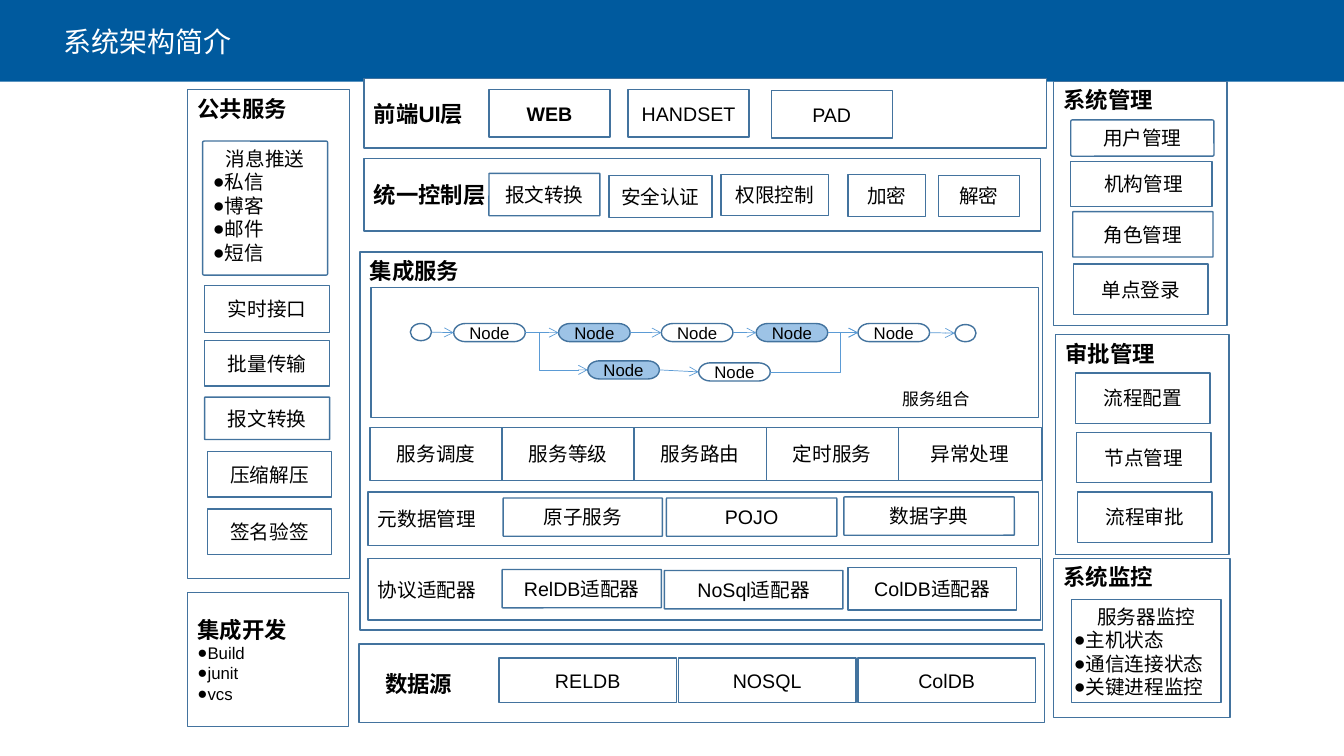
import lxml.etree
import pptx
import pptx.dml.color
import pptx.enum.shapes
import pptx.enum.text
import pptx.oxml.ns
import pptx.util

PX = 9144  # 100 px to the inch
HEADER_BLUE = pptx.dml.color.RGBColor(0x00, 0x5A, 0x9E)
BORDER_BLUE = pptx.dml.color.RGBColor(0x43, 0x73, 0x9E)
ARROW_BLUE = pptx.dml.color.RGBColor(0x5B, 0x9B, 0xD5)
NODE_BLUE = pptx.dml.color.RGBColor(0x9D, 0xC3, 0xE6)
WHITE = pptx.dml.color.RGBColor(0xFF, 0xFF, 0xFF)
BLACK = pptx.dml.color.RGBColor(0x00, 0x00, 0x00)
CJK_FONT = "Noto Sans CJK SC"
SHAPE = pptx.enum.shapes.MSO_SHAPE
CONNECTOR = pptx.enum.shapes.MSO_CONNECTOR
LEFT, CENTER = pptx.enum.text.PP_ALIGN.LEFT, pptx.enum.text.PP_ALIGN.CENTER
TOP, MIDDLE = pptx.enum.text.MSO_ANCHOR.TOP, pptx.enum.text.MSO_ANCHOR.MIDDLE
qn = pptx.oxml.ns.qn


def write(shape, text, size=14, font="Arial", color=BLACK, bold=False, align=CENTER,
          anchor=MIDDLE, inset=(10, 10), wrap=True, items=(), item_size=14):
    """Fill a shape with a heading and bulleted items; inset is (left, right) in px."""
    frame = shape.text_frame
    frame.word_wrap = wrap
    frame.vertical_anchor = anchor
    frame.margin_left, frame.margin_right = (side * PX for side in inset)
    frame.margin_top = frame.margin_bottom = 5 * PX
    for index, words in enumerate([text, *items]):
        paragraph = frame.add_paragraph() if index else frame.paragraphs[0]
        paragraph.alignment = LEFT if index else align
        if index:
            properties = paragraph._p.get_or_add_pPr()
            properties.set("marL", "0")
            properties.set("indent", "0")
            lxml.etree.SubElement(properties, qn("a:buFont"), typeface="Arial")
            lxml.etree.SubElement(properties, qn("a:buChar"), char="●")
        run = paragraph.add_run()
        run.text = words
        run.font.size = pptx.util.Pt(item_size if index else size)
        run.font.bold = bold and not index
        run.font.color.rgb = color
        run.font.name = font
        lxml.etree.SubElement(run.font._element, qn("a:ea"), typeface=CJK_FONT)


def box(left, top, width, height, text="", corner=None, kind=SHAPE.RECTANGLE, fill=None, **style):
    """Draw an outlined box; corner rounds it by that share of its short side."""
    if corner is not None:
        kind = SHAPE.ROUNDED_RECTANGLE
    shape = slide.shapes.add_shape(kind, left * PX, top * PX, width * PX, height * PX)
    shape.shadow.inherit = False
    if corner is not None:
        shape.adjustments[0] = corner
    if fill is None:
        shape.fill.background()
    else:
        shape.fill.solid()
        shape.fill.fore_color.rgb = fill
    shape.line.color.rgb = BORDER_BLUE
    shape.line.width = pptx.util.Pt(1)
    if text:
        write(shape, text, **style)
    return shape


deck = pptx.Presentation()
deck.slide_width, deck.slide_height = 1333 * PX, 750 * PX
slide = deck.slides.add_slide(deck.slide_layouts[5])

title = slide.shapes.title
title.left, title.top, title.width, title.height = 0, 0, 1333 * PX, 81 * PX
title.fill.solid()
title.fill.fore_color.rgb = HEADER_BLUE
write(title, "系统架构简介", size=20, font=CJK_FONT, color=WHITE, align=LEFT, inset=(63, 13))

# Section panels
heading = dict(size=16, bold=True, align=LEFT)
box(1045, 81, 172, 242, "系统管理", fill=WHITE, font="Calibri", anchor=TOP, **heading)
box(361, 78, 677, 69, "前端UI层", fill=WHITE, **heading)
box(361, 157, 671, 72, "统一控制层", **heading)
box(357, 250, 677, 375, "集成服务", anchor=TOP, **heading)
box(356, 639, 680, 78, "数据源", fill=WHITE, inset=(26, 10), **heading)
box(1045, 554, 175, 158, "系统监控", fill=WHITE, anchor=TOP, **heading)
box(1047, 332, 172, 218, "审批管理", anchor=TOP, **heading)
box(186, 89, 161, 485, "公共服务", font="Calibri", anchor=TOP, **heading)
box(186, 588, 160, 133, "集成开发", corner=0, items=["Build", "junit", "vcs"],
    item_size=12, **heading)
box(365, 488, 665, 53, "元数据管理", fill=WHITE, align=LEFT)
box(365, 554, 667, 61, "协议适配器", fill=WHITE, align=LEFT)

# Modules inside the panels
box(485, 89, 120, 47, "WEB", bold=True)
for module in [
    (623, 89, 120, 47, "HANDSET"),
    (765, 90, 120, 47, "PAD"),
    (485, 172, 110, 42, "报文转换", 0.013),
    (604, 174, 102, 42, "安全认证", 0),
    (715, 173, 107, 41, "权限控制", 0),
    (841, 173, 77, 42, "加密", 0),
    (931, 174, 80, 41, "解密", 0),
    (203, 283, 124, 47, "实时接口", 0),
    (203, 338, 124, 45, "批量传输", 0),
    (203, 394, 124, 42, "报文转换", 0.013),
    (206, 448, 123, 45, "压缩解压", 0),
    (206, 505, 123, 45, "签名验签", 0),
    (1062, 119, 142, 36, "用户管理", 0.044),
    (1064, 210, 139, 45, "角色管理", 0.013),
    (1065, 262, 133, 50, "单点登录"),
    (499, 494, 158, 38, "原子服务", 0.019),
    (661, 494, 169, 38, "POJO", 0.019),
    (837, 493, 169, 38, "数据字典", 0.019),
    (498, 565, 158, 38, "RelDB适配器", 0.019),
    (659, 566, 177, 38, "NoSql适配器", 0.005),
    (841, 563, 167, 42, "ColDB适配器", 0),
]:
    box(*module)
box(1062, 160, 140, 45, "机构管理", corner=0, inset=(14, 10))
box(201, 140, 124, 133, "消息推送", corner=0.013, anchor=TOP,
    items=["私信", "博客", "邮件", "短信"])
box(1063, 595, 148, 102, "服务器监控", corner=0, anchor=TOP, inset=(2, 2),
    items=["主机状态", "通信连接状态", "关键进程监控"])
for index, database in enumerate(["RELDB", "NOSQL", "ColDB"]):
    box(495 + 178 * index, 653, 176, 44, database)
for index, approval in enumerate(["流程配置", "节点管理", "流程审批"]):
    box(1067 + index, 370 + 59 * index, 133, 50, approval)
dispatch = ["服务调度", "服务等级", "服务路由", "定时服务", "异常处理"]
for index, service in enumerate(dispatch):
    box(367 + 131 * index, 424, 142 if service == dispatch[-1] else 131, 53, service)

# Service composition flow
box(368, 285, 662, 129)
start = box(407, 321, 21, 17, kind=SHAPE.FLOWCHART_CONNECTOR)
finish = box(947, 322, 21, 17, kind=SHAPE.FLOWCHART_CONNECTOR)
main_1, main_2, main_3, main_4, main_5, branch_1, branch_2 = [
    box(left, top, 71, 18, "Node", kind=SHAPE.FLOWCHART_TERMINATOR, fill=fill, size=12)
    for left, top, fill in [
        (450, 321, None), (554, 321, NODE_BLUE), (656, 321, None), (750, 321, NODE_BLUE),
        (851, 321, None), (583, 358, NODE_BLUE), (693, 360, None),
    ]
]
for source, target, bend in [
    (start, main_1, None), (main_1, main_2, None), (main_2, main_3, None),
    (main_3, main_4, None), (main_4, main_5, None), (main_5, finish, None),
    (main_1, branch_1, 23300), (branch_1, branch_2, None), (branch_2, main_5, 80200),
]:
    arrow = slide.shapes.add_connector(
        CONNECTOR.ELBOW if bend else CONNECTOR.STRAIGHT,
        source.left + source.width, source.top + source.height // 2,
        target.left, target.top + target.height // 2)
    arrow.line.color.rgb = ARROW_BLUE
    arrow.line.width = pptx.util.Pt(0.5)
    properties = arrow.element.spPr
    lxml.etree.SubElement(properties.find(qn("a:ln")), qn("a:tailEnd"), type="arrow")
    lxml.etree.SubElement(properties, qn("a:effectLst"))
    if bend:
        guides = properties.find(qn("a:prstGeom")).find(qn("a:avLst"))
        lxml.etree.SubElement(guides, qn("a:gd"), name="adj1", fmla=f"val {bend}")

caption = slide.shapes.add_textbox(885 * PX, 381 * PX, 88 * PX, 30 * PX)
write(caption, "服务组合", size=12, font="Calibri", align=LEFT, anchor=TOP, wrap=False)
caption.text_frame.auto_size = pptx.enum.text.MSO_AUTO_SIZE.SHAPE_TO_FIT_TEXT

deck.save("out.pptx")
